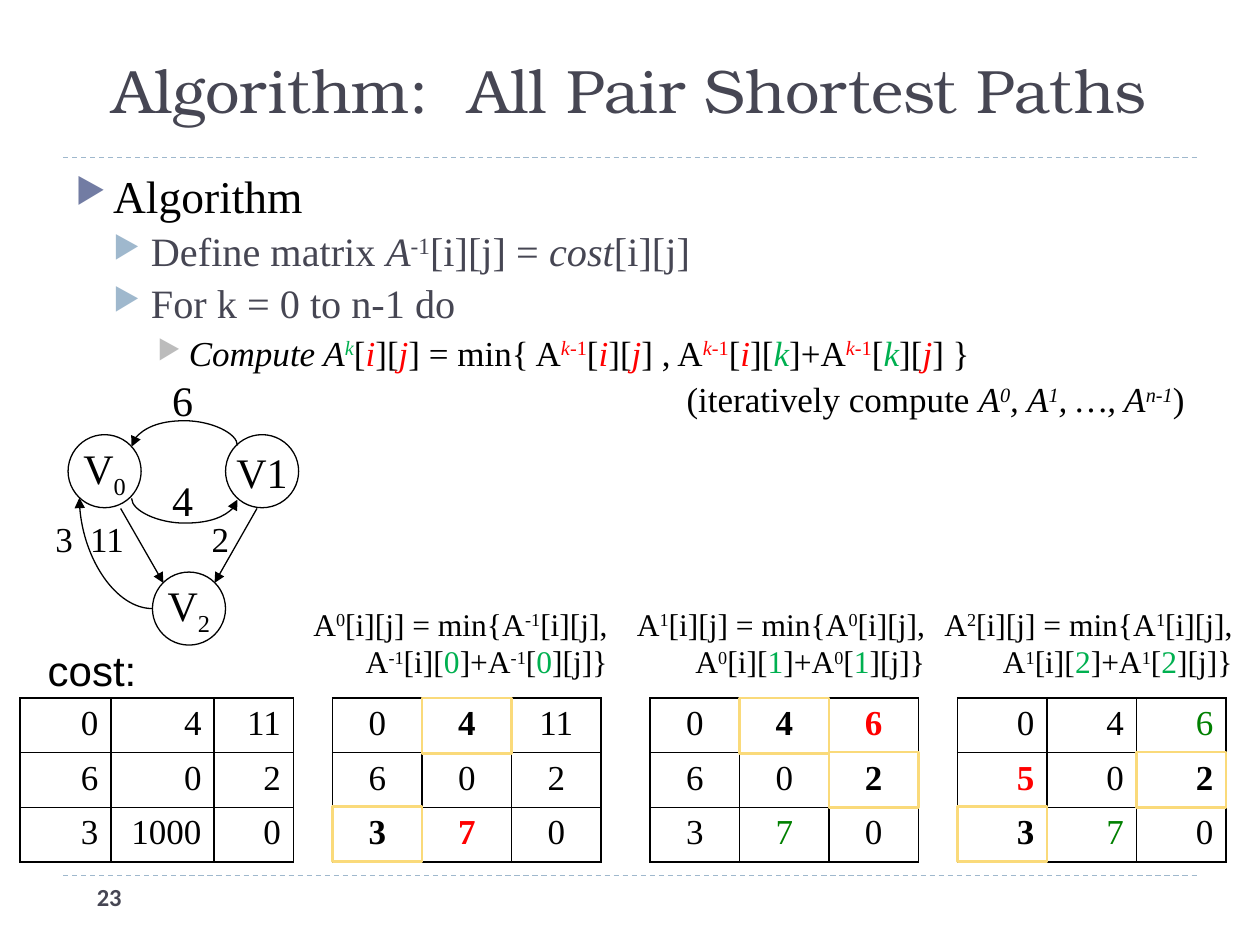
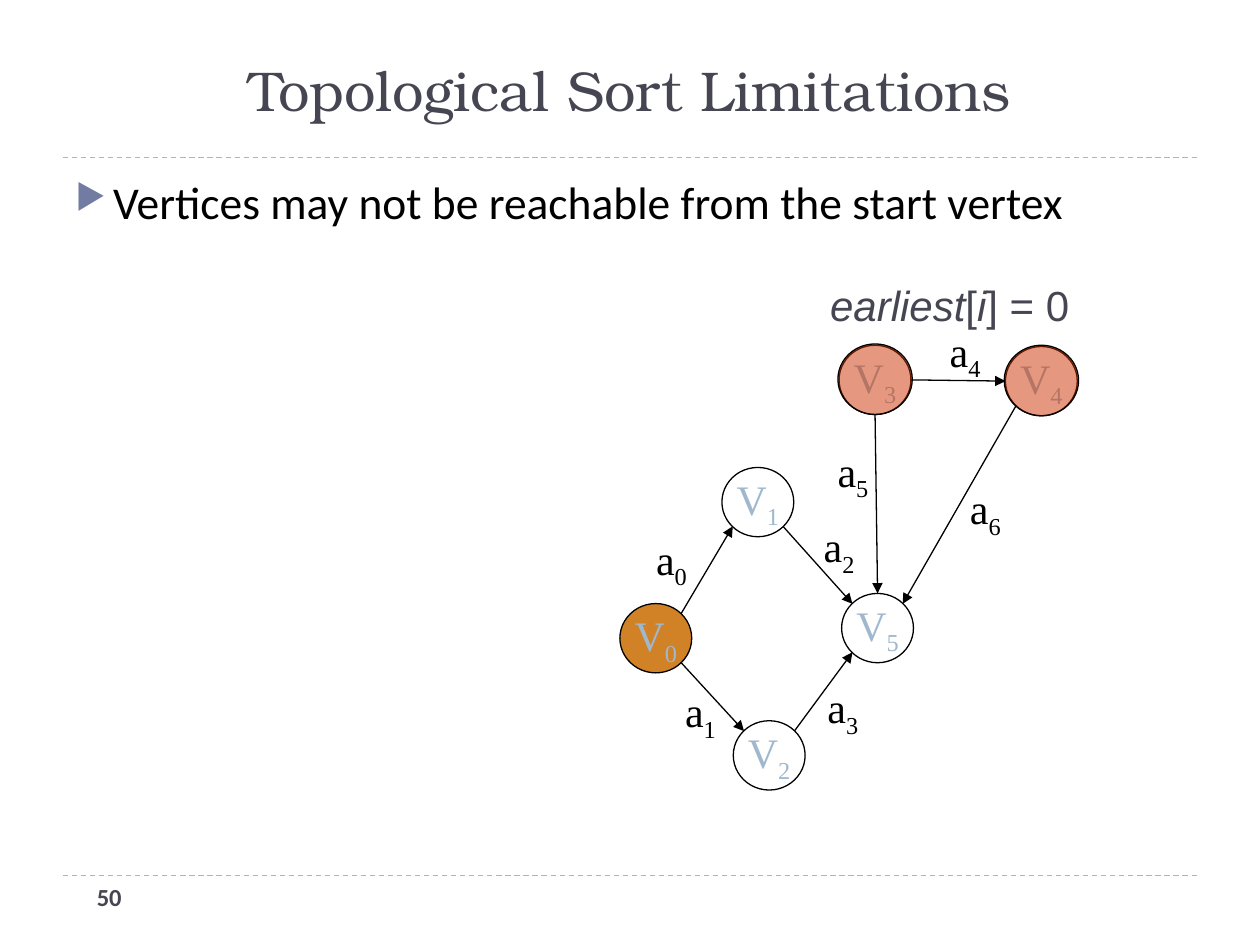
from lxml.etree import SubElement
from pptx import Presentation
from pptx.dml.color import RGBColor
from pptx.enum.dml import MSO_LINE
from pptx.enum.shapes import MSO_CONNECTOR as CONNECTOR, MSO_SHAPE as SHAPE
from pptx.enum.text import MSO_ANCHOR as ANCHOR, PP_ALIGN as ALIGN
from pptx.oxml.ns import qn
from pptx.util import Inches, Pt

BLACK, INK, PALE_BLUE, RED = "000000", "464653", "9FB8CD", "FF0000"
GREEN, DARK_GREEN, INDIGO, GRAY = "00B050", "008000", "727CA3", "BCBCBC"
HIGHLIGHT, ORANGE, RUST, WHITE = "FADA7A", "D18126", "CC3300", "FFFFFF"
SERIF, SANS, TITLE_FONT, NUMBER_FONT = "Times New Roman", "Arial", "TeX Gyre Bonum", "Calibri"

COLOR_MARKS = {"~": RED, "`": GREEN, "|": DARK_GREEN}
BASELINE_MARKS = {"^": "30000", "_": "-25000"}
MARKS = "*!~`|^_"

LEVELS = [(0.3, -0.3, INDIGO, 6), (0.6, -0.3, PALE_BLUE, 5), (0.9, -0.25, GRAY, 5)]
SITES = {"n": (0.5, 0), "s": (0.5, 1), "w": (0, 0.5), "e": (1, 0.5),
         "nw": (0.15, 0.15), "ne": (0.85, 0.15), "sw": (0.15, 0.85), "se": (0.85, 0.85),
         "sse": (0.72, 1.01), "ssw": (0.43, 1.01)}
SITE_ORDER = ["n", "nw", "w", "sw", "s", "se", "e", "ne"]
ROW_HEIGHT, STEP_COLUMN = 0.43, 0.71


def rgb(hex_color):
    """Turn a hex string into a colour."""
    return RGBColor.from_string(hex_color)


def split_marks(text):
    """Yield each piece of marked text with the marks that apply to it."""
    active, piece = set(), ""
    for letter in text:
        if letter in MARKS or letter == "\n":
            if piece:
                yield piece, frozenset(active)
            piece = ""
            if letter == "\n":
                yield letter, frozenset()
            else:
                active ^= {letter}
        else:
            piece += letter
    if piece:
        yield piece, frozenset(active)


def write(paragraph, text, size=24, font=SERIF, color=BLACK, bold=False, align=None):
    """Write marked text into a paragraph."""
    paragraph.alignment = align
    for piece, marks in split_marks(text):
        if piece == "\n":
            paragraph.add_line_break()
            continue
        run = paragraph.add_run()
        run.text = piece
        run.font.size, run.font.name = Pt(size), font
        run.font.bold = bold or "!" in marks
        run.font.italic = "*" in marks
        tint = next((COLOR_MARKS[mark] for mark in marks if mark in COLOR_MARKS), color)
        run.font.color.rgb = rgb(tint)
        for mark in marks & set(BASELINE_MARKS):
            run._r.get_or_add_rPr().set("baseline", BASELINE_MARKS[mark])


def add_text(slide, box, text, anchor=ANCHOR.TOP, wrap=True, **text_format):
    """Add a one-paragraph text box."""
    frame = slide.shapes.add_textbox(*map(Inches, box)).text_frame
    frame.word_wrap, frame.vertical_anchor = wrap, anchor
    write(frame.paragraphs[0], text, **text_format)


def add_outline(slide, kind, box, line=BLACK, width=0.75, fill=None, opacity=None):
    """Add an outlined preset shape with an optional fill."""
    shape = slide.shapes.add_shape(kind, *map(Inches, box))
    shape.shadow.inherit = False
    shape.line.color.rgb, shape.line.width = rgb(line), Pt(width)
    if fill:
        shape.fill.solid()
        shape.fill.fore_color.rgb = rgb(fill)
    else:
        shape.fill.background()
    if opacity:
        tint = shape._element.spPr.find(qn("a:solidFill")).find(qn("a:srgbClr"))
        SubElement(tint, qn("a:alpha"), val=str(opacity * 1000))
    return shape


def add_line(slide, start, end, kind=CONNECTOR.STRAIGHT, color=BLACK, arrow=False):
    """Add a thin line or arrow between two points."""
    line = slide.shapes.add_connector(kind, *map(Inches, (*start, *end)))
    line.line.color.rgb, line.line.width = rgb(color), Pt(0.75)
    if arrow:
        SubElement(line.line._get_or_add_ln(), qn("a:tailEnd"), type="triangle")
    SubElement(line._element.spPr, qn("a:effectLst"))
    return line


def add_frame(slide, title, number, title_size):
    """Add the title, the two dashed rules and the slide number."""
    for y in (6.95, 1.25):
        add_line(slide, (0.5, y), (9.5, y), color=PALE_BLUE).line.dash_style = MSO_LINE.DASH
    add_text(slide, (0.5, 0.17, 9, 1.08), title, anchor=ANCHOR.MIDDLE, size=title_size,
             font=TITLE_FONT, color=INK, align=ALIGN.CENTER)
    add_text(slide, (0.67, 6.95, 2.17, 0.4), number, size=14, font=NUMBER_FONT,
             color=INK, bold=True)


def add_body(slide, items, line_spacing=None):
    """Add the bulleted body from (level, bulleted, text, format) items."""
    frame = slide.shapes.add_textbox(*map(Inches, (0.5, 1.33, 9, 5.4))).text_frame
    frame.word_wrap = True
    for index, (level, bulleted, text, text_format) in enumerate(items):
        paragraph = frame.add_paragraph() if index else frame.paragraphs[0]
        margin, indent, bullet_color, space = LEVELS[level]
        paragraph.level, paragraph.space_before = level, Pt(space)
        if line_spacing:
            paragraph.line_spacing = line_spacing
        write(paragraph, text, **text_format)
        properties = paragraph._p.get_or_add_pPr()
        properties.set("marL", str(Inches(margin)))
        properties.set("indent", str(Inches(indent)))
        if bulleted:
            SubElement(SubElement(properties, qn("a:buClr")), qn("a:srgbClr"), val=bullet_color)
            SubElement(properties, qn("a:buSzPct"), val="76000")
            SubElement(properties, qn("a:buChar"), char="▶")


def add_matrix(slide, left, top, columns, rows, align):
    """Add a bordered matrix with its top left corner at the given point."""
    box = (left, top, sum(columns), ROW_HEIGHT * len(rows))
    matrix = slide.shapes.add_table(len(rows), len(columns), *map(Inches, box)).table
    matrix.first_row = matrix.horz_banding = False
    for column, width in zip(matrix.columns, columns):
        column.width = Inches(width)
    for row, values in zip(matrix.rows, rows):
        row.height = Inches(ROW_HEIGHT)
        for cell, value in zip(row.cells, values):
            write(cell.text_frame.paragraphs[0], value, size=20, align=align)
            properties = cell._tc.get_or_add_tcPr()
            for side in ("lnL", "lnR", "lnT", "lnB"):
                border = SubElement(properties, qn(f"a:{side}"), w=str(Pt(1)))
                SubElement(SubElement(border, qn("a:solidFill")), qn("a:srgbClr"), val=BLACK)
            cell.fill.background()


def add_step(slide, left, top, step, rows, used_cells, align):
    """Add one iteration: formula, matrix and highlighted cells."""
    before = step - 1
    formula = (f"A^{step}^[i][j] = min{{A^{before}^[i][j],\n"
               f"A^{before}^[i][`{step}`]+A^{before}^[`{step}`][j]}}")
    add_matrix(slide, left, top, [STEP_COLUMN] * 3, rows, align)
    add_text(slide, (left - 0.4, top - 0.79, 2.68, 0.7), formula, size=18, align=ALIGN.RIGHT)
    for row, column in used_cells:
        add_outline(slide, SHAPE.RECTANGLE,
                    (left + column * STEP_COLUMN, top + row * ROW_HEIGHT, STEP_COLUMN, 0.44),
                    line=HIGHLIGHT, width=1.5)


def add_graph(slide, origin, node_size, nodes, edges, labels, node_format, fills):
    """Add vertices, arrows and weights relative to the origin and return the vertices."""
    left, top = origin
    width, height = node_size
    vertices = {}
    for name, (x, y) in nodes.items():
        vertex = add_outline(slide, SHAPE.OVAL, (left + x, top + y, width, height),
                             fill=fills.get(name))
        vertex.text_frame.word_wrap = False
        vertex.text_frame.vertical_anchor = ANCHOR.MIDDLE
        write(vertex.text_frame.paragraphs[0], name, align=ALIGN.CENTER, **node_format)
        vertices[name] = vertex

    def site(name, side):
        """Give the point on the rim of a vertex."""
        (x, y), (across, down) = nodes[name], SITES[side]
        return left + x + across * width, top + y + down * height

    for source, source_side, target, target_side in edges:
        add_line(slide, site(source, source_side), site(target, target_side), arrow=True)
    for text, x, y, size in labels:
        add_text(slide, (left + x, top + y, 0.5, 0.5), text, anchor=ANCHOR.MIDDLE,
                 wrap=False, size=size, align=ALIGN.CENTER)
    return vertices


def add_curve(slide, box, preset, rotation, flips, bulge, source, target):
    """Add a curved arrow joining two (vertex, side) ends."""
    left, top, width, height = box
    curve = add_line(slide, (left, top), (left + width, top + height), CONNECTOR.CURVE, arrow=True)
    transform = curve._element.spPr.find(qn("a:xfrm"))
    transform.set("rot", str(rotation * 60000))
    for flip in flips:
        transform.set(flip, "1")
    geometry = curve._element.spPr.find(qn("a:prstGeom"))
    geometry.set("prst", preset)
    if bulge:
        SubElement(geometry.find(qn("a:avLst")), qn("a:gd"), name="adj1",
                   fmla=f"val {bulge * 100000}")
    ends = next(curve._element.iter(qn("p:cNvCxnSpPr")))
    for tag, (vertex, side) in (("a:stCxn", source), ("a:endCxn", target)):
        SubElement(ends, qn(tag), id=str(vertex.shape_id), idx=str(SITE_ORDER.index(side)))


def add_cost_graph(slide, left, top):
    """Add the weighted three-vertex graph."""
    vertices = add_graph(
        slide, (left, top), (0.58, 0.58),
        {"V_0_": (0.29, 0.55), "V_2_": (0.96, 1.64), "V1": (1.54, 0.55)},
        [("V_0_", "sse", "V_2_", "nw"), ("V1", "ssw", "V_2_", "ne")],
        [("6", 0.95, 0.02, 24), ("4", 0.95, 0.82, 24),
         ("3", 0.01, 1.12, 20), ("11", 0.35, 1.12, 20), ("2", 1.25, 1.12, 20)],
        {}, {})
    first, second, third = vertices["V_0_"], vertices["V1"], vertices["V_2_"]
    add_curve(slide, (left + 1.21, top + 0.22, 0.01, 0.84), "curvedConnector3", 270,
              ("flipH", "flipV"), -20, (second, "nw"), (first, "ne"))
    add_curve(slide, (left + 1.21, top + 0.64, 0.01, 0.84), "curvedConnector3", 270,
              ("flipH",), 20, (first, "se"), (second, "sw"))
    add_curve(slide, (left + 0.38, top + 1.05, 0.58, 0.88), "curvedConnector2", 180,
              (), None, (third, "w"), (first, "sw"))


def add_activity_graph(slide, left, top):
    """Add the activity network with its unreachable vertices shaded."""
    nodes = {"V_0_": (0.02, 2.29), "V_3_": (1.76, 0.24), "V_1_": (0.83, 1.21),
             "V_5_": (1.78, 2.21), "V_2_": (0.92, 3.22), "V_4_": (3.08, 0.25)}
    edges = [("V_0_", "ne", "V_1_", "sw"), ("V_0_", "se", "V_2_", "nw"),
             ("V_2_", "ne", "V_5_", "sw"), ("V_1_", "se", "V_5_", "nw"),
             ("V_3_", "s", "V_5_", "n"), ("V_3_", "e", "V_4_", "w"),
             ("V_4_", "sw", "V_5_", "ne")]
    places = [(0.18, 1.71), (0.41, 2.92), (1.51, 1.61), (1.54, 2.89),
              (2.51, 0.06), (1.62, 1.01), (2.67, 1.31)]
    labels = [(f"a_{index}_", x, y, 24) for index, (x, y) in enumerate(places)]
    fills = {**dict.fromkeys(nodes, WHITE), "V_0_": ORANGE}
    add_graph(slide, (left, top), (0.57, 0.55), nodes, edges, labels,
              {"color": PALE_BLUE}, fills)
    for name in ("V_3_", "V_4_"):
        x, y = nodes[name]
        add_outline(slide, SHAPE.OVAL, (left + x - 0.01, top + y - 0.01, 0.59, 0.56),
                    fill=RUST, opacity=50)
    add_text(slide, (left + 1.59, top - 0.33, 2.1, 0.5), "*earliest*[*i*] = 0",
             anchor=ANCHOR.MIDDLE, wrap=False, font=SANS, color=INK)


def build_shortest_paths(slide):
    """Build the slide on all pair shortest paths."""
    add_frame(slide, "Algorithm:  All Pair Shortest Paths", "23", 35)
    second_level = {"size": 23, "color": INK}
    add_body(slide, [
        (0, True, "Algorithm", {"size": 26}),
        (1, True, "Define matrix *A*^-1^[i][j] = *cost*[i][j]", second_level),
        (1, True, "For k = 0 to n-1 do", second_level),
        (2, True, "*Compute A^`k`^*[~*i*~][~*j*~] = min{ A^~*k*-1~^[~*i*~][~*j*~] , "
                  "A^~*k*-1~^[~*i*~][`*k*`]+A^~*k*-1~^[`*k*`][~*j*~] }", {"size": 20}),
        (2, False, "(iteratively compute *A^0^, A^1^, …, A^n-1^*)",
         {"size": 20, "align": ALIGN.RIGHT}),
    ], line_spacing=0.9)
    add_cost_graph(slide, 0.25, 2.9)
    add_text(slide, (0.28, 5.07, 0.95, 0.5), "cost:", font=SANS)
    add_matrix(slide, 0.16, 5.54, [0.72, 0.82, 0.63],
               [("0", "4", "11"), ("6", "0", "2"), ("3", "1000", "0")], ALIGN.RIGHT)
    steps = [
        (2.64, [("0", "!4!", "11"), ("6", "0", "2"), ("!3!", "!~7~!", "0")],
         [(0, 1), (2, 0)], ALIGN.CENTER),
        (5.16, [("0", "!4!", "!~6~!"), ("6", "0", "!2!"), ("3", "|7|", "0")],
         [(0, 1), (1, 2)], ALIGN.CENTER),
        (7.6, [("0", "4", "|6|"), ("!~5~!", "0", "!2!"), ("!3!", "|7|", "0")],
         [(1, 2), (2, 0)], ALIGN.RIGHT),
    ]
    for step, (left, rows, used_cells, align) in enumerate(steps):
        add_step(slide, left, 5.54, step, rows, used_cells, align)


def build_sort_limitations(slide):
    """Build the slide on the limits of topological sort."""
    add_frame(slide, "Topological Sort Limitations", "50", 32)
    add_body(slide, [(0, True, "Vertices may not be reachable from the start vertex",
                      {"size": 26, "font": NUMBER_FONT})])
    add_activity_graph(slide, 4.9, 2.5)


def main():
    """Build and save the presentation."""
    deck = Presentation()
    deck.slide_width, deck.slide_height = Inches(10), Inches(7.5)
    for build in (build_shortest_paths, build_sort_limitations):
        build(deck.slides.add_slide(deck.slide_layouts[6]))
    deck.save("out.pptx")


if __name__ == "__main__":
    main()
